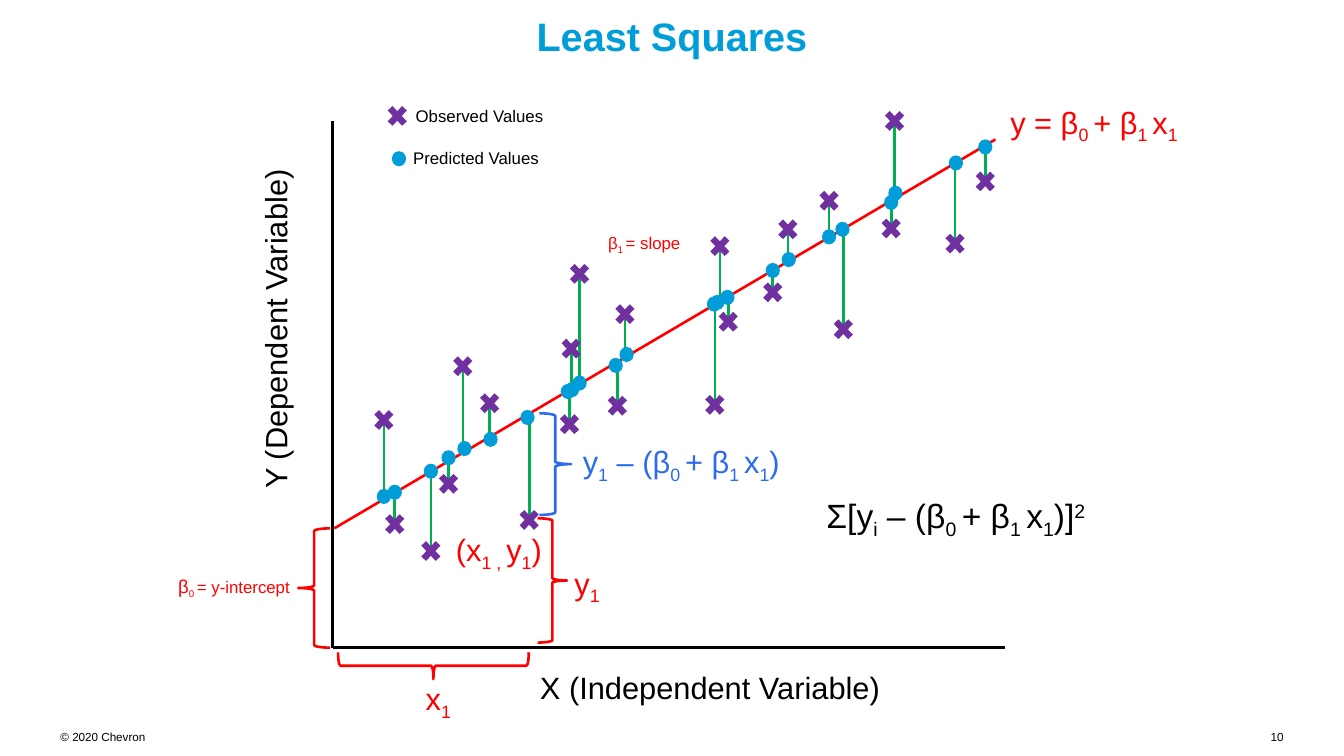
from lxml import etree
from pptx import Presentation
from pptx.dml.color import RGBColor
from pptx.enum.shapes import MSO_CONNECTOR, MSO_SHAPE
from pptx.enum.text import MSO_ANCHOR, PP_ALIGN
from pptx.oxml.ns import qn
from pptx.util import Inches, Pt

BLACK = RGBColor(0x00, 0x00, 0x00)
RED = RGBColor(0xFF, 0x00, 0x00)
GREEN = RGBColor(0x00, 0xB0, 0x50)
PURPLE = RGBColor(0x70, 0x30, 0xA0)
CYAN = RGBColor(0x00, 0x9D, 0xD9)
BLUE = RGBColor(0x2C, 0x6B, 0xEA)
FONT = "Arial"
LEFT, CENTER, RIGHT = PP_ALIGN.LEFT, PP_ALIGN.CENTER, PP_ALIGN.RIGHT

# Marker centres: observed x, observed y, predicted x, predicted y
POINTS = [
    (4.57, 5.00, 4.57, 5.91), (4.70, 6.24, 4.70, 5.86), (5.13, 6.56, 5.13, 5.61),
    (5.34, 5.76, 5.34, 5.45), (5.51, 4.36, 5.53, 5.34), (5.83, 4.80, 5.84, 5.23),
    (6.30, 6.19, 6.28, 4.97), (6.78, 5.05, 6.76, 4.66), (6.80, 4.15, 6.81, 4.64),
    (6.90, 3.26, 6.90, 4.56), (7.35, 4.83, 7.33, 4.35), (7.44, 3.74, 7.46, 4.22),
    (8.51, 4.82, 8.50, 3.62), (8.57, 2.93, 8.54, 3.60), (8.67, 3.83, 8.66, 3.54),
    (9.20, 3.48, 9.20, 3.22), (9.38, 2.73, 9.39, 3.09), (9.87, 2.39, 9.87, 2.82),
    (10.04, 3.92, 10.03, 2.73), (10.61, 2.72, 10.61, 2.41), (10.65, 1.44, 10.66, 2.30),
    (11.37, 2.90, 11.38, 1.94), (11.73, 2.16, 11.73, 1.75),
]
LEGEND_OBSERVED = (4.73, 1.38)
LEGEND_PREDICTED = (4.75, 1.89)

FIT_LINE = (3.98, 6.29, 11.85, 1.66)
AXES = [(3.96, 1.44, 3.96, 7.71), (11.97, 7.71, 3.96, 7.71)]

# Left, top, width, height, rotation, colour
BRACES = [
    (3.55, 6.29, 0.38, 1.42, 0, RED),
    (5.00, 6.79, 0.32, 2.27, 270, RED),
    (6.40, 6.17, 0.35, 1.48, 180, RED),
    (6.42, 4.92, 0.38, 1.21, 180, BLUE),
]

# Box, size, colour, alignment, rotation, parts
# Parts alternate between plain and subscript; "^" marks a superscript
LABELS = [
    ((1.26, 3.62, 4.04, 0.55), 26.4, BLACK, LEFT, 270, ["Y (Dependent Variable)"]),
    ((6.33, 7.91, 5.79, 0.55), 26.4, BLACK, LEFT, 0, ["X (Independent Variable)"]),
    ((11.93, 1.18, 2.74, 0.55), 26.4, RED, LEFT, 0,
     ["y = β", "0 ", "+ β", "1 ", "x", "1"]),
    ((4.97, 8.04, 0.77, 0.55), 26.4, RED, LEFT, 0, ["x", "1"]),
    ((6.74, 6.67, 0.73, 0.55), 26.4, RED, LEFT, 0, ["y", "1"]),
    ((5.33, 6.27, 1.66, 0.55), 26.4, RED, LEFT, 0, ["(x", "1 , ", "y", "1", ")"]),
    ((4.85, 1.21, 2.56, 0.34), 14.4, BLACK, LEFT, 0, ["Observed Values"]),
    ((4.82, 1.71, 2.56, 0.34), 14.4, BLACK, LEFT, 0, ["Predicted Values"]),
    ((6.84, 5.22, 2.93, 0.99), 26.4, BLUE, LEFT, 0,
     ["y", "1", " – (β", "0 ", "+ β", "1 ", "x", "1", ")"]),
    ((9.74, 5.84, 3.98, 0.59), 28.8, BLACK, LEFT, 0,
     ["Σ[y", "i", " – (β", "0 ", "+ β", "1 ", "x", "1", ")]", "^2"]),
    ((7.14, 2.72, 2.13, 0.34), 14.4, RED, LEFT, 0, ["β", "1 ", "= slope"]),
]
INTERCEPT = ((1.59, 6.79, 2.39, 0.37), 14.4, RED, CENTER, 0, ["β", "0 ", "= y-intercept"])
FOOTERS = [
    ((13.87, 8.69, 1.41, 0.16), 10, BLACK, RIGHT, 0, ["10"]),
    ((0.72, 8.69, 1.02, 0.17), 10, BLACK, LEFT, 0, ["© 2020 Chevron"]),
]


def inches(values):
    return [Inches(value) for value in values]


def style_font(font, size, color):
    font.name, font.size = FONT, Pt(size)
    font.color.rgb = color


def add_line(slide, ends, color):
    line = slide.shapes.add_connector(MSO_CONNECTOR.STRAIGHT, *inches(ends))
    line.line.color.rgb, line.line.width = color, Pt(2.25)
    etree.SubElement(line._element.spPr, qn("a:effectLst"))


def add_marker(slide, kind, center, size, color):
    (x, y), (width, height) = center, size
    box = inches((x - width / 2, y - height / 2, width, height))
    marker = slide.shapes.add_shape(kind, *box)
    marker.shadow.inherit = False
    marker.fill.solid()
    marker.fill.fore_color.rgb = color
    marker.line.fill.background()


def add_observed(slide, center):
    add_marker(slide, MSO_SHAPE.MATH_MULTIPLY, center, (0.33, 0.35), PURPLE)


def add_predicted(slide, center):
    add_marker(slide, MSO_SHAPE.OVAL, center, (0.17, 0.18), CYAN)


def add_brace(slide, left, top, width, height, rotation, color):
    box = inches((left, top, width, height))
    brace = slide.shapes.add_shape(MSO_SHAPE.LEFT_BRACE, *box)
    brace.shadow.inherit = False
    brace.rotation = rotation
    brace.fill.background()
    brace.line.color.rgb, brace.line.width = color, Pt(2.25)


def add_label(slide, box, size, color, alignment, rotation, parts):
    label = slide.shapes.add_textbox(*inches(box))
    label.rotation = rotation
    label.text_frame.word_wrap = True
    paragraph = label.text_frame.paragraphs[0]
    paragraph.alignment = alignment
    style_font(paragraph.font, size, color)
    for index, part in enumerate(parts):
        run = paragraph.add_run()
        run.text = part.lstrip("^")
        if index % 2:
            baseline = 30000 if part.startswith("^") else -25000
            run.font._element.set("baseline", str(baseline))
    return label


def main():
    presentation = Presentation()
    presentation.slide_width, presentation.slide_height = Inches(16), Inches(9)
    slide = presentation.slides.add_slide(presentation.slide_layouts[5])

    # Title
    title = slide.shapes.title
    title.left, title.top, title.width, title.height = inches((2.54, 0.08, 10.92, 1.13))
    frame = title.text_frame
    frame.text = "Least Squares"
    frame.vertical_anchor = MSO_ANCHOR.TOP
    frame.margin_left = frame.margin_right = 0
    frame.margin_top = frame.margin_bottom = Inches(0.06)
    heading = frame.paragraphs[0]
    heading.alignment = CENTER
    style_font(heading.font, 34, CYAN)
    heading.font.bold = True

    # Residuals, fitted line, observed values
    for x, observed, _, predicted in POINTS:
        add_line(slide, (x, predicted, x, observed), GREEN)
    add_line(slide, FIT_LINE, RED)
    for x, y, _, _ in POINTS:
        add_observed(slide, (x, y))

    # Axes, braces and labels
    for axis in AXES:
        add_line(slide, axis, BLACK)
    for brace in BRACES:
        add_brace(slide, *brace)
    for label in LABELS:
        add_label(slide, *label)
    intercept = add_label(slide, *INTERCEPT)
    intercept.text_frame.paragraphs[0].runs[0].font.size = Pt(16)

    # Predicted values and legend markers
    for _, _, x, y in POINTS:
        add_predicted(slide, (x, y))
    add_observed(slide, LEGEND_OBSERVED)
    add_predicted(slide, LEGEND_PREDICTED)

    # Page number and copyright
    for footer in FOOTERS:
        frame = add_label(slide, *footer).text_frame
        frame.margin_left = frame.margin_right = 0
        frame.margin_top = frame.margin_bottom = 0

    presentation.save("out.pptx")


if __name__ == "__main__":
    main()
